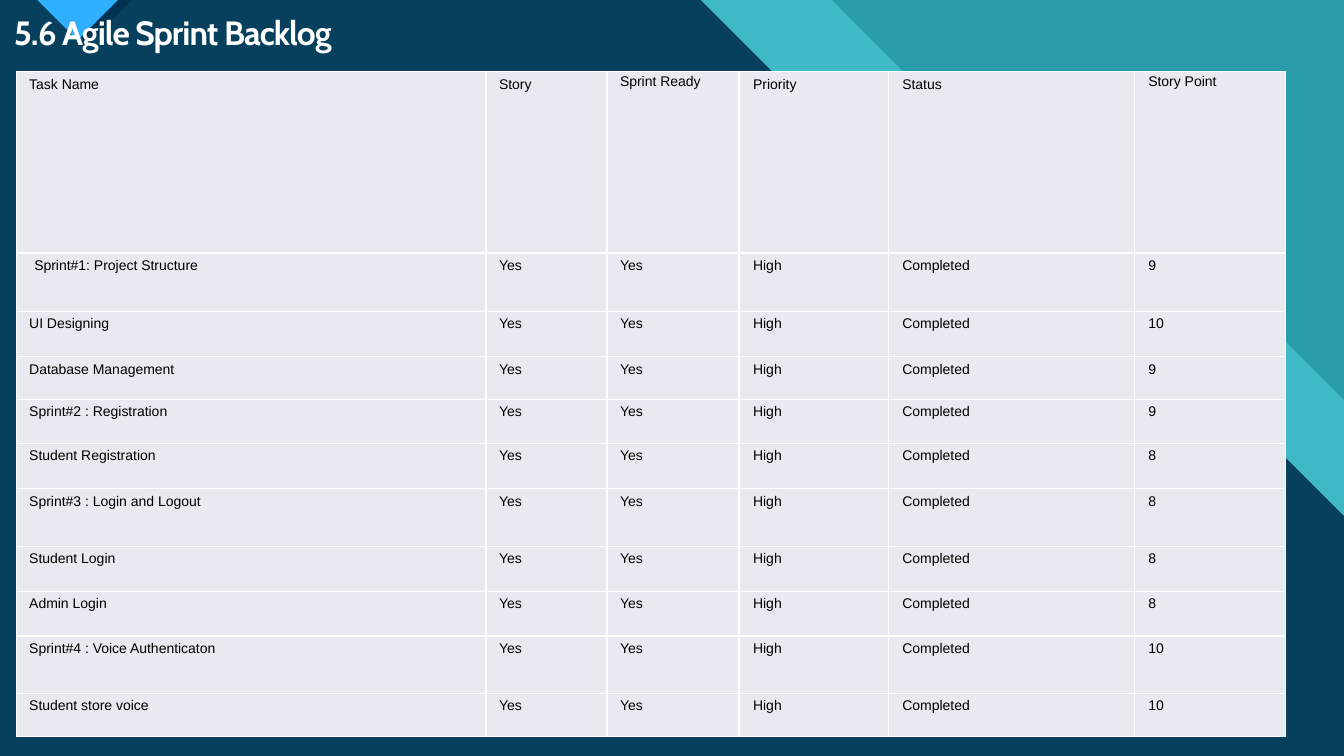
from lxml import etree
from pptx import Presentation
from pptx.dml.color import RGBColor
from pptx.enum.text import MSO_ANCHOR
from pptx.oxml.ns import qn
from pptx.util import Inches, Pt

MIDDLE = MSO_ANCHOR.MIDDLE
TEAL = RGBColor(0x29, 0x9C, 0xAB)
AQUA = RGBColor(0x47, 0xC3, 0xD3)
NAVY = RGBColor(0x00, 0x33, 0x52)
BLUE = RGBColor(0x2F, 0xAF, 0xFF)
PALE = RGBColor(0xE7, 0xEA, 0xF0)
WHITE = RGBColor(0xFF, 0xFF, 0xFF)
BLACK = RGBColor(0x00, 0x00, 0x00)

WIDTH, HEIGHT = 13.33, 7.5
COLUMN_WIDTHS = [4.66, 1.2, 1.31, 1.48, 2.44, 1.5]
ROW_HEIGHTS = [1.8, 0.58, 0.45, 0.42, 0.44, 0.45, 0.57, 0.45, 0.44, 0.57, 0.43]
HEADINGS = ["Task Name", "Story", "Sprint Ready", "Priority", "Status", "Story Point"]
TASK_POINTS = [
    ("Sprint#1: Project Structure", 9),
    ("UI Designing", 10),
    ("Database Management", 9),
    ("Sprint#2 : Registration", 9),
    ("Student Registration", 8),
    ("Sprint#3 : Login and Logout", 8),
    ("Student Login", 8),
    ("Admin Login", 8),
    ("Sprint#4 : Voice Authenticaton", 10),
    ("Student store voice", 10),
]


def add_polygon(slide, points, color, opacity=100):
    corners = [(Inches(x), Inches(y)) for x, y in points]
    builder = slide.shapes.build_freeform(*corners[0])
    builder.add_line_segments(corners[1:], close=True)
    shape = builder.convert_to_shape()
    shape.shadow.inherit = False
    shape.fill.solid()
    shape.fill.fore_color.rgb = color
    shape.line.fill.background()
    if opacity < 100:
        color_element = shape.fill._xPr.find(".//" + qn("a:srgbClr"))
        etree.SubElement(color_element, qn("a:alpha"), val=str(opacity * 1000))


def add_backdrop(slide, width, height):
    slide.background.fill.solid()
    slide.background.fill.fore_color.rgb = TEAL
    corners = [(width, height), (0, height)]
    add_polygon(slide, [(0, 0), (8.25, 0), (11.22, 2.98), (12.34, 2.98),
                        (width, 3.97)] + corners, AQUA, 74)
    add_polygon(slide, [(0, 0), (6.95, 0), (9.92, 2.97), (11.18, 2.97),
                        (width, 5.12)] + corners, NAVY, 90)
    add_polygon(slide, [(0.48, 0), (1.31, 0), (0.9, 0.41)], NAVY)
    add_polygon(slide, [(0.37, 0), (1.17, 0), (0.77, 0.4)], BLUE)


def add_span(para, text, font_name, size, color):
    span = para.add_run()
    span.text = text
    span.font.name = font_name
    span.font.size = Pt(size)
    span.font.color.rgb = color
    return span


def add_title(slide, left, top, width, height):
    box = slide.shapes.add_textbox(Inches(left), Inches(top), Inches(width), Inches(height))
    frame = box.text_frame
    frame.word_wrap = True
    frame.vertical_anchor = MIDDLE
    para = frame.paragraphs[0]
    para.line_spacing = 0.9
    span = add_span(para, "5.6 Agile Sprint Backlog", "Cabin", 24, WHITE)
    span.font.bold = True
    span.font._element.set("spc", "-70")


def add_borders(cell):
    """Put a white line on each side; borders come before the fill in the XML."""
    properties = cell._tc.get_or_add_tcPr()
    for position, side in enumerate(("a:lnL", "a:lnR", "a:lnT", "a:lnB")):
        line = etree.Element(qn(side), w=str(Pt(1)))
        fill = etree.SubElement(line, qn("a:solidFill"))
        etree.SubElement(fill, qn("a:srgbClr"), val=str(WHITE))
        properties.insert(position, line)


def fill_cell(cell, text, indent, line_spacing):
    cell.margin_left = cell.margin_right = Inches(0.06)
    cell.margin_top = cell.margin_bottom = 0
    cell.fill.solid()
    cell.fill.fore_color.rgb = PALE
    add_borders(cell)
    para = cell.text_frame.paragraphs[0]
    para.line_spacing = line_spacing
    para.space_after = Pt(6)
    properties = para._p.get_or_add_pPr()
    properties.set("marL", str(Inches(indent)))
    properties.set("indent", "0")
    add_span(para, text, "Arial", 10, BLACK)


def add_backlog(slide, left, top):
    rows = [HEADINGS] + [[task, "Yes", "Yes", "High", "Completed", str(points)]
                         for task, points in TASK_POINTS]
    frame = slide.shapes.add_table(
        len(rows), len(HEADINGS), Inches(left), Inches(top),
        Inches(sum(COLUMN_WIDTHS)), Inches(sum(ROW_HEIGHTS)))
    table = frame.table
    table.first_row = table.horz_banding = False
    for column, width in zip(table.columns, COLUMN_WIDTHS):
        column.width = Inches(width)
    for row, height in zip(table.rows, ROW_HEIGHTS):
        row.height = Inches(height)
    for row_index, texts in enumerate(rows):
        for column_index, text in enumerate(texts):
            indent = 0.07 if column_index < 3 else 0.08
            spacing = 1.3
            if row_index == 0:
                spacing = 1.14 if text in ("Sprint Ready", "Story Point") else 1.33
            elif (row_index, column_index) == (1, 0):
                indent = 0.12
            fill_cell(table.cell(row_index, column_index), text, indent, spacing)


def main():
    deck = Presentation()
    deck.slide_width, deck.slide_height = Inches(WIDTH), Inches(HEIGHT)
    page = deck.slides.add_slide(deck.slide_layouts[6])
    add_backdrop(page, WIDTH, HEIGHT)
    add_title(page, 0.04, 0.11, 12.26, 0.46)
    add_backlog(page, 0.16, 0.71)
    deck.save("out.pptx")


if __name__ == "__main__":
    main()
